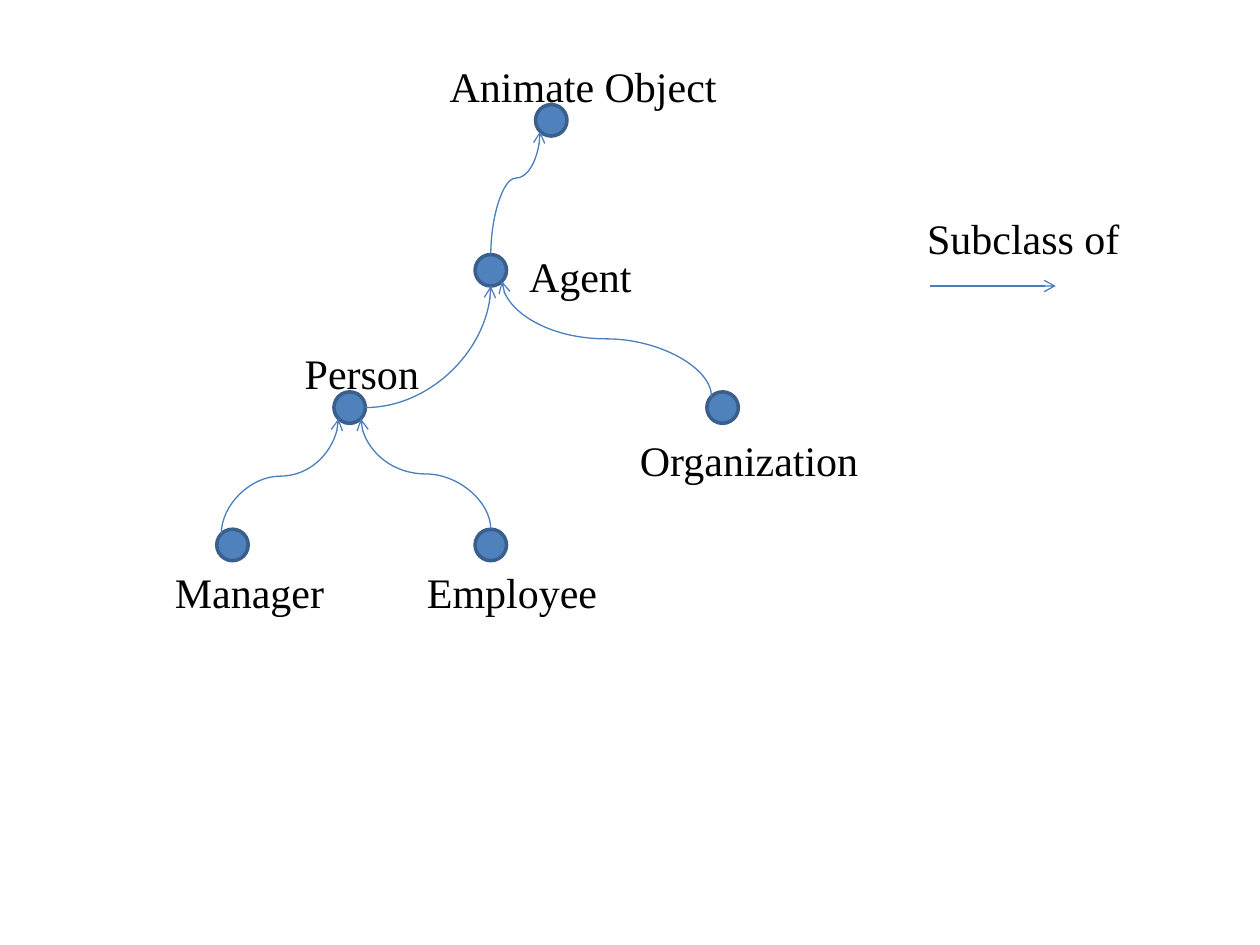
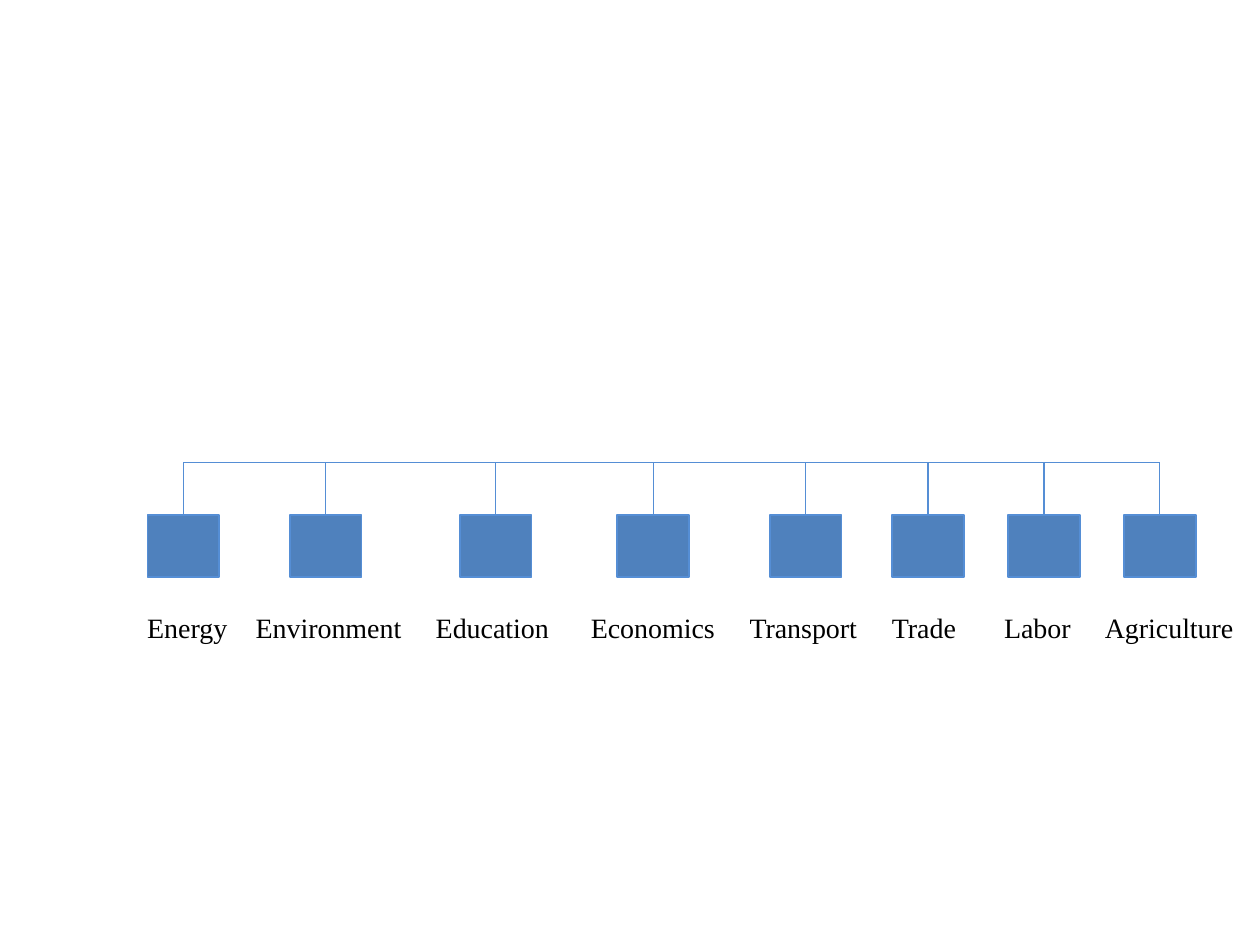
"""Build two slides: a class hierarchy and a row of sectors on one bus line."""
from dataclasses import dataclass
from math import sqrt

from lxml.etree import SubElement
from pptx import Presentation
from pptx.dml.color import RGBColor
from pptx.enum.shapes import MSO_CONNECTOR as Connector, MSO_SHAPE as Preset
from pptx.enum.text import MSO_AUTO_SIZE as AutoSize
from pptx.oxml.ns import qn
from pptx.util import Inches, Pt

COLORS = {
    "fill": "4F81BD",
    "node_line": "3A5F8C",
    "arrow": "4B7EBC",
    "bus": "558ED5",
    "text": "000000",
}
FONT = "Times New Roman"
COLUMNS, ROWS = 40, 30
UNIT = Inches(10) // COLUMNS
RADIUS = 0.5
DIAGONAL = RADIUS / sqrt(2)
SIDES = {
    "top": (0, -RADIUS),
    "bottom": (0, RADIUS),
    "right": (RADIUS, 0),
    "top left": (-DIAGONAL, -DIAGONAL),
    "bottom left": (-DIAGONAL, DIAGONAL),
    "bottom right": (DIAGONAL, DIAGONAL),
}
LEVEL_ROWS = [2.32] + [7.08 + 4.36 * level for level in range(3)]

# name: (column, level, label column offset, label row offset, label width)
CLASSES = {
    "Animate Object": (12.5, 0, -3.62, -2.1, 9.36),
    "Agent": (10.58, 1, 0.82, -0.82, 4.08),
    "Organization": (17.94, 2, -3.02, 0.66, 7.8),
    "Person": (6.1, 2, -1.82, -2.1, 4.48),
    "Manager": (2.38, 3, -2.22, 0.5, 5.6),
    "Employee": (10.58, 3, -2.42, 0.5, 6.24),
}
# subclass, its side, superclass, its side, bend share
SUBCLASS_CURVES = [
    ("Employee", "top", "Person", "bottom right", 0.5),
    ("Manager", "top left", "Person", "bottom left", 0.5),
    ("Organization", "top left", "Agent", "bottom right", 0.5),
    ("Agent", "top", "Animate Object", "bottom left", 0.62),
]
# name: (square column, label column)
SECTORS = {
    "Energy": (3.48, 3.48),
    "Environment": (8, 6.92),
    "Education": (13.4, 12.64),
    "Economics": (18.4, 17.56),
    "Transport": (23.24, 22.6),
    "Trade": (27.12, 27.12),
    "Labor": (30.8, 30.68),
    "Agriculture": (34.48, 33.88),
}


@dataclass
class Box:
    """A region of the slide grid, in columns and rows."""
    left: float
    top: float
    width: float
    height: float

    def inner(self, column, row, width, height):
        """Return a box placed relative to this one."""
        return Box(self.left + column, self.top + row, width, height)

    def emu(self):
        """Return left, top, width and height in slide units."""
        return [round(UNIT * value) for value in
                (self.left, self.top, self.width, self.height)]


def color(name):
    """Look up a named colour."""
    return RGBColor.from_string(COLORS[name])


def add_label(slide, box, text, size, wrap=False):
    """Add a text box and return its paragraph."""
    text_frame = slide.shapes.add_textbox(*box.emu()).text_frame
    text_frame.text = text
    text_frame.word_wrap = wrap
    text_frame.auto_size = AutoSize.SHAPE_TO_FIT_TEXT
    paragraph = text_frame.paragraphs[0]
    for run in paragraph.runs:
        run.font.name, run.font.size = FONT, Pt(size)
        run.font.color.rgb = color("text")
    return paragraph


def add_filled(slide, preset, box, line_color, line_width):
    """Add a filled, outlined shape."""
    shape = slide.shapes.add_shape(preset, *box.emu())
    shape.shadow.inherit = False
    shape.fill.solid()
    shape.fill.fore_color.rgb = color("fill")
    shape.line.color.rgb = color(line_color)
    shape.line.width = Pt(line_width)
    return shape


def add_line(slide, start, end, line_color, kind=Connector.STRAIGHT, arrow=False):
    """Add a thin connector between two grid points."""
    points = [round(UNIT * value) for value in (*start, *end)]
    connector = slide.shapes.add_connector(kind, *points)
    connector.line.color.rgb = color(line_color)
    connector.line.width = Pt(0.75)
    if arrow:
        SubElement(connector.line._get_or_add_ln(), qn("a:tailEnd"), type="arrow")
    SubElement(connector.element.spPr, qn("a:effectLst"))
    return connector


def add_quarter_curve(slide, start, end):
    """Add an arrow that leaves sideways and arrives upright."""
    connector = add_line(slide, start, end, "arrow", Connector.CURVE, True)
    connector.element.spPr.find(qn("a:prstGeom")).set("prst", "curvedConnector2")


def add_rising_curve(slide, start, end, bend):
    """Add an S-shaped arrow that leaves and arrives upright."""
    (start_x, start_y), (end_x, end_y) = start, end
    middle_x, middle_y = (start_x + end_x) / 2, (start_y + end_y) / 2
    half_height = abs(end_x - start_x) / 2
    rightward = end_x > start_x
    reach = (start_y - end_y) / 2 * (1 if rightward else -1)
    connector = add_line(slide, (middle_x + reach, middle_y + half_height),
                         (middle_x - reach, middle_y - half_height),
                         "arrow", Connector.CURVE, True)
    properties = connector.element.spPr
    degrees = 90 if rightward else 270
    properties.find(qn("a:xfrm")).set("rot", str(degrees * 60000))
    adjustments = properties.find(qn("a:prstGeom")).find(qn("a:avLst"))
    SubElement(adjustments, qn("a:gd"), name="adj1", fmla=f"val {round(bend * 100000)}")


def draw_class_tree(slide, box):
    """Draw the classes and the arrows to their superclasses."""
    def point(name, side):
        column, level = CLASSES[name][:2]
        across, down = SIDES[side]
        return box.left + column + across, box.top + LEVEL_ROWS[level] + down

    for name, (column, level, across, down, width) in CLASSES.items():
        row = LEVEL_ROWS[level]
        node = box.inner(column - RADIUS, row - RADIUS, 2 * RADIUS, 2 * RADIUS)
        add_filled(slide, Preset.OVAL, node, "node_line", 2)
        add_label(slide, box.inner(column + across, row + down, width, 2), name, 24)
    add_quarter_curve(slide, point("Person", "right"), point("Agent", "bottom"))
    for child, child_side, parent, parent_side, bend in SUBCLASS_CURVES:
        add_rising_curve(slide, point(child, child_side),
                         point(parent, parent_side), bend)


def draw_legend(slide, box):
    """Draw the key that explains the arrows."""
    row = box.top + box.height
    add_line(slide, (box.left + 0.48, row), (box.left + 4.48, row), "arrow", arrow=True)
    add_label(slide, box.inner(0, 0, box.width, 2), "Subclass of", 24)


def draw_sector_row(slide, box):
    """Draw the sector labels and squares hanging from the bus line."""
    paragraph = add_label(slide, box.inner(0, 4.52, box.width, 1.48),
                          "".join("\t" + name for name in SECTORS), 16, wrap=True)
    tabs = SubElement(paragraph._p.get_or_add_pPr(), qn("a:tabLst"))
    centers = []
    for square_column, label_column in SECTORS.values():
        inset = 0.4
        position = round(UNIT * (label_column - inset))
        SubElement(tabs, qn("a:tab"), pos=str(position), algn="l")
        square_box = box.inner(square_column, 1.68, 2.28, 1.96)
        square = add_filled(slide, Preset.RECTANGLE, square_box, "bus", 1)
        center = square_box.left + square_box.width / 2
        stem = add_line(slide, (center, square_box.top), (center, box.top), "bus")
        stem.begin_connect(square, 0)
        centers.append(center)
    add_line(slide, (centers[0], box.top), (centers[-1], box.top), "bus")


def main():
    """Build and save the presentation."""
    presentation = Presentation()
    presentation.slide_width = UNIT * COLUMNS
    presentation.slide_height = UNIT * ROWS
    blank = presentation.slide_layouts[6]
    hierarchy = presentation.slides.add_slide(blank)
    draw_class_tree(hierarchy, Box(5, 1.5, 23, 18.5))
    draw_legend(hierarchy, Box(29.04, 6.56, 6.96, 2.52))
    draw_sector_row(presentation.slides.add_slide(blank), Box(1.2, 14.68, 39, 6))
    presentation.save("out.pptx")


if __name__ == "__main__":
    main()
